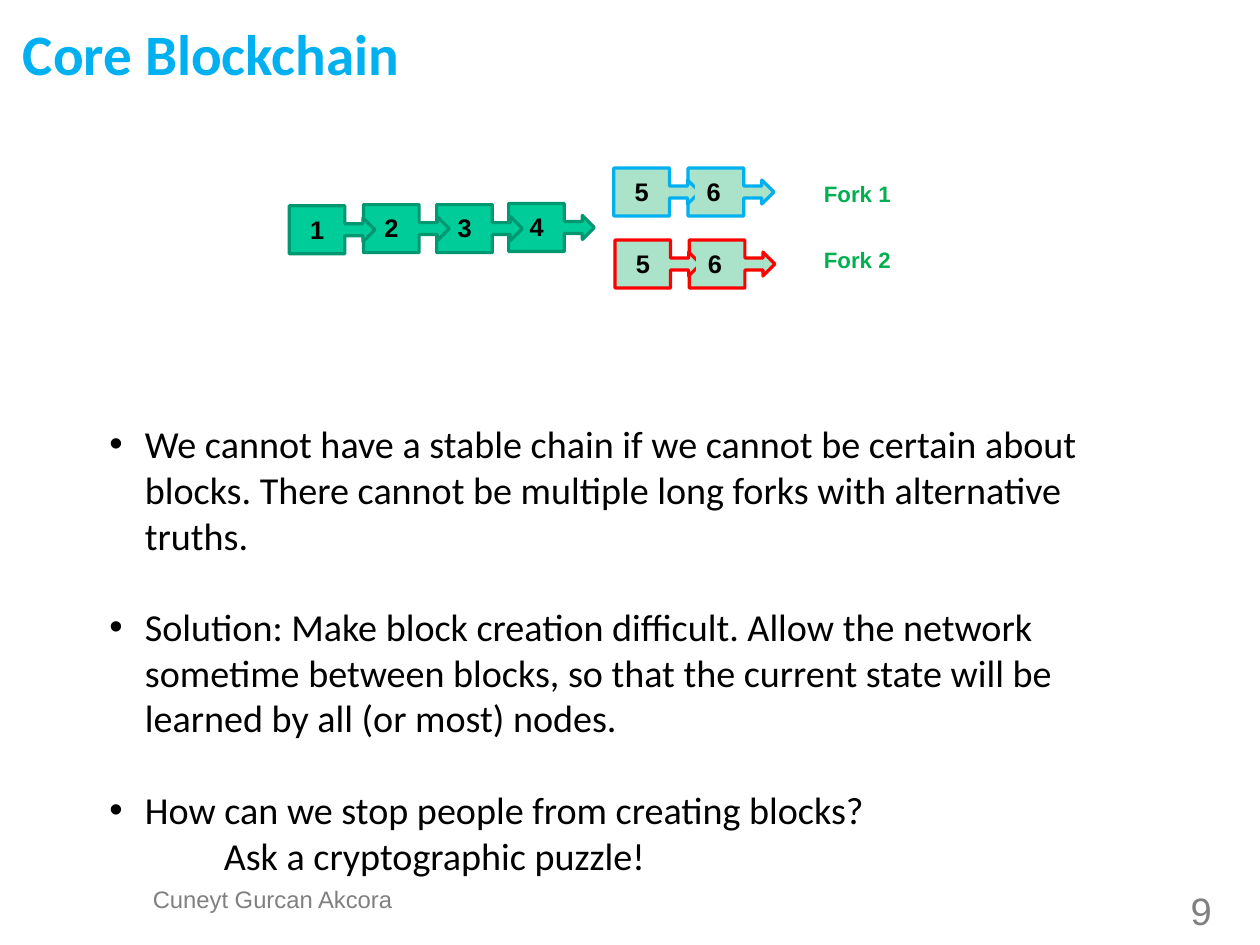
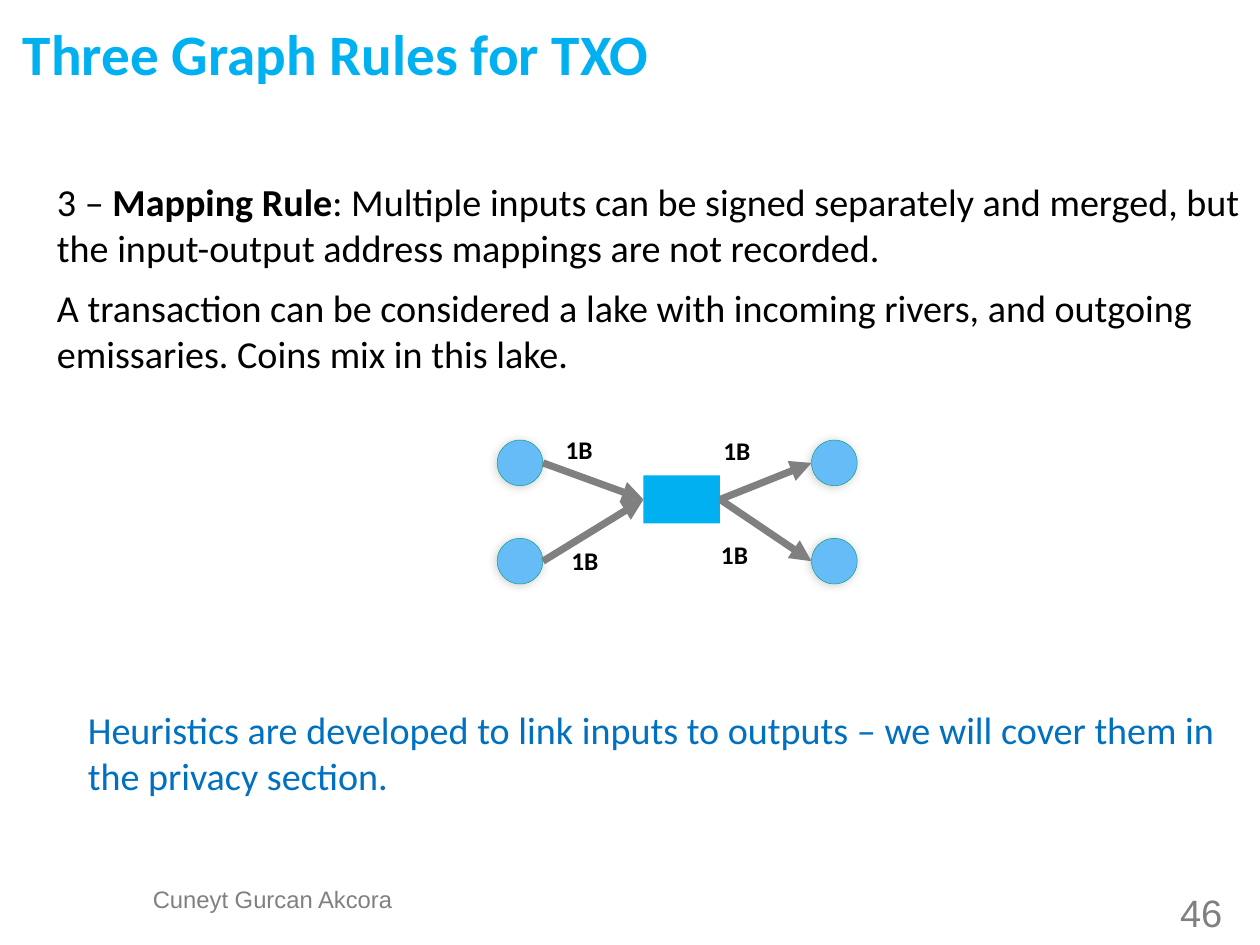
from typing import NamedTuple

from lxml import etree
from pptx import Presentation
from pptx import util as u
from pptx.dml import color
from pptx.enum import shapes, text
from pptx.oxml import ns

SKY, GREY, BLACK = "00B0F0", "808080", "000000"
MINT, TEAL, PALE = "00CC99", "009771", "AAE2CA"
SIDE = text.PP_ALIGN
KIND = shapes.MSO_SHAPE
BLANK = 28.8  # height in points of one empty 24 pt line


class Face(NamedTuple):
    size: float
    name: str = "Calibri"
    hue: str = BLACK
    bold: bool = False


HEAD = Face(36, hue=SKY, bold=True)
BODY = Face(24)
HINT = Face(24, hue="0070C0")
FOOT = Face(15, "Arial", GREY)
PAGE = Face(24, "Arial", GREY)
DIGIT = Face(16, "Arial", bold=True)
FORK = Face(14, "Arial", "00B050", True)
COIN = Face(16, bold=True)


class Box(NamedTuple):
    x: float
    y: float
    w: float
    h: float

    def emu(self):
        return [u.Inches(v) for v in self]


class Block(NamedTuple):
    mark: str
    x: float
    y: float
    fill: str
    line: str
    inset: float
    plate: bool = False


def rgb(hue: str):
    return color.RGBColor.from_string(hue)


def style(par, face: Face):
    font = par.font
    font.size, font.name, font.bold = u.Pt(face.size), face.name, face.bold
    font.color.rgb = rgb(face.hue)


def setup(frame, pad: float = 0):
    """Fix the frame's size and wrapping; pad is the side inset in inches."""
    frame.word_wrap = True
    frame.auto_size = text.MSO_AUTO_SIZE.NONE
    frame.vertical_anchor = text.MSO_ANCHOR.TOP
    frame.margin_left = frame.margin_right = u.Inches(pad)
    frame.margin_top = frame.margin_bottom = u.Inches(pad / 2)


def fill(frame, words: str, face: Face, side=SIDE.LEFT, gap=1.0):
    """Write one paragraph; parts between * signs are bold."""
    par = frame.paragraphs[0]
    par.alignment, par.line_spacing = side, gap
    style(par, face)
    for i, part in enumerate(words.split("*")):
        run = par.add_run()
        run.text = part
        if i % 2:
            run.font.bold = True


def write(slide, box: Box, words: str, face: Face, pad=0.1, side=SIDE.LEFT, gap=1.0):
    frame = slide.shapes.add_textbox(*box.emu()).text_frame
    setup(frame, pad)
    fill(frame, words, face, side, gap)


def paint(slide, kind, box: Box, hue: str, line: str = "", width: float = 0):
    shape = slide.shapes.add_shape(kind, *box.emu())
    shape.shadow.inherit = False
    shape.fill.solid()
    shape.fill.fore_color.rgb = rgb(hue)
    if line:
        shape.line.color.rgb = rgb(line)
        shape.line.width = u.Pt(width)
    else:
        shape.line.fill.background()
    return shape


def start(deck, title: str, page: int, top: float):
    """Add a slide with the shared title, author and page number."""
    slide = deck.slides.add_slide(deck.slide_layouts[5])
    head = slide.shapes.title
    head.left, head.top, head.width, head.height = Box(0.2, 0.15, 9.92, 0.55).emu()
    setup(head.text_frame)
    fill(head.text_frame, title, HEAD, gap=1.02)
    write(slide, Box(1.3, 7.76, 2.17, 0.36), "Cuneyt Gurcan Akcora", FOOT, 0, SIDE.CENTER, 0.93)
    write(slide, Box(10.01, top, 1, 0.4), str(page), PAGE, 0, SIDE.CENTER, 0.93)
    return slide


def chain(slide, blocks: list[Block]):
    """Draw blocks from last to first, so each arrow overlaps the next block."""
    for b in reversed(blocks):
        paint(slide, KIND.RIGHT_ARROW_CALLOUT, Box(b.x, b.y, 0.75, 0.42), b.fill, b.line, 2)
    for b in reversed(blocks):
        spot = Box(b.x + b.inset, b.y + 0.02, 0.33, 0.37)
        if b.plate:
            paint(slide, KIND.RECTANGLE, spot, b.fill)
        write(slide, spot._replace(y=spot.y + 0.05), b.mark, DIGIT, 0, SIDE.CENTER)


def bullets(slide, box: Box, items: list[str], last: str):
    frame = slide.shapes.add_textbox(*box.emu()).text_frame
    setup(frame, 0.1)
    for i, words in enumerate(items + [last]):
        par = frame.paragraphs[0] if i == 0 else frame.add_paragraph()
        par.text = words
        props = par._p.get_or_add_pPr()
        if i == len(items):
            props.set("marL", str(u.Inches(1)))
        else:
            if i:
                par.space_before = u.Pt(BLANK)
            props.set("marL", str(u.Inches(0.31)))
            props.set("indent", str(u.Inches(-0.31)))
            font = etree.SubElement(props, ns.qn("a:buFont"))
            font.set("typeface", "Arial")
            etree.SubElement(props, ns.qn("a:buChar")).set("char", "•")
        style(par, BODY)


def shade(shape):
    """Give the shape a soft outer shadow."""
    glow = etree.SubElement(shape._element.spPr.find(ns.qn("a:effectLst")), ns.qn("a:outerShdw"))
    for key, val in (("blurRad", u.Pt(6)), ("dist", u.Pt(1)), ("dir", 135 * 60000)):
        glow.set(key, str(val))
    tint = etree.SubElement(glow, ns.qn("a:srgbClr"))
    tint.set("val", BLACK)
    etree.SubElement(tint, ns.qn("a:alpha")).set("val", "20000")


def arrow(slide, x1: float, y1: float, x2: float, y2: float):
    ends = [u.Inches(v) for v in (x1, y1, x2, y2)]
    link = slide.shapes.add_connector(shapes.MSO_CONNECTOR.STRAIGHT, *ends)
    link.line.color.rgb = rgb(GREY)
    link.line.width = u.Pt(4.5)
    tip = etree.SubElement(link.line._get_or_add_ln(), ns.qn("a:tailEnd"))
    tip.set("type", "triangle")
    etree.SubElement(link._element.spPr, ns.qn("a:effectLst"))
    return link


def core(deck):
    slide = start(deck, "Core Blockchain", 9, 7.8)
    bullets(slide, Box(0.86, 3.63, 9.3, 4.14), [
        "We cannot have a stable chain if we cannot be certain about blocks. "
        "There cannot be multiple long forks with alternative truths.",
        "Solution: Make block creation difficult. Allow the network sometime between "
        "blocks, so that the current state will be learned by all (or most) nodes.",
        "How can we stop people from creating blocks?",
    ], "Ask a cryptographic puzzle!")
    for x, y, line in ((5.37, 1.47, SKY), (5.38, 2.1, "FF0000")):
        chain(slide, [Block("5", x, y, PALE, line, 0.08, True),
                      Block("6", x + 0.65, y, PALE, line, 0.06, True)])
    for i, y in enumerate((1.53, 2.11), 1):
        write(slide, Box(7.11, y, 1.42, 0.34), f"Fork {i}", FORK)
    spots = ((2.53, 1.8), (3.18, 1.79), (3.82, 1.79), (4.45, 1.78))
    chain(slide, [Block(str(i), x, y, MINT, TEAL, 0.08) for i, (x, y) in enumerate(spots, 1)])


def rules(deck):
    slide = start(deck, "Three Graph Rules for TXO", 46, 7.82)
    write(slide, Box(0.4, 1.51, 10.58, 1.31),
          "3 – *Mapping Rule*: Multiple inputs can be signed separately and merged, "
          "but the input-output address mappings are not recorded.", BODY)
    write(slide, Box(0.4, 2.44, 10.58, 1.31),
          "A transaction can be considered a lake with incoming rivers, and outgoing "
          "emissaries. Coins mix in this lake.", BODY)
    lake = paint(slide, KIND.RECTANGLE, Box(5.63, 4.16, 0.67, 0.42), SKY)
    size, mid = 0.4, 4.37
    for y in (3.85, 4.71):
        for x in (4.35, 7.1):
            shade(paint(slide, KIND.OVAL, Box(x, y, size, size), "66BCF6", TEAL, 0.25))
        level = y + size / 2
        arrow(slide, 4.35 + size, level, 5.63, mid).end_connect(lake, 1)
        arrow(slide, 6.3, mid, 7.1, level).begin_connect(lake, 3)
    for x, y in ((4.85, 3.75), (6.23, 3.76), (4.9, 4.72), (6.21, 4.67)):
        write(slide, Box(x, y, 0.7, 0.37), "1B", COIN)
    write(slide, Box(0.67, 6.13, 10.33, 0.91),
          "Heuristics are developed to link inputs to outputs – we will cover them "
          "in the privacy section.", HINT)


def main():
    deck = Presentation()
    deck.slide_width, deck.slide_height = u.Cm(28), u.Cm(21)
    core(deck)
    rules(deck)
    deck.save("out.pptx")


if __name__ == "__main__":
    main()
